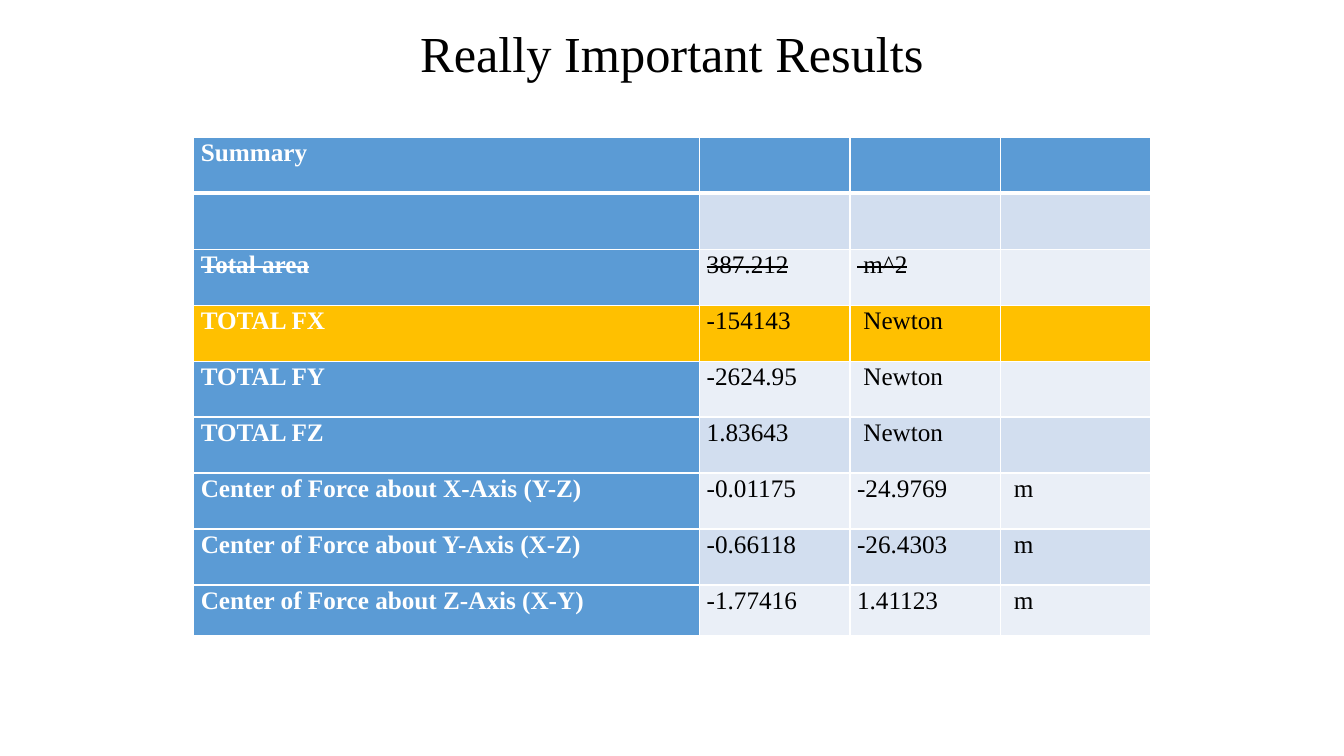
from lxml.etree import SubElement
from pptx import Presentation
from pptx.dml.color import RGBColor
from pptx.enum.text import MSO_ANCHOR, PP_ALIGN
from pptx.oxml.ns import qn
from pptx.util import Cm, Pt

BLACK = RGBColor(0x00, 0x00, 0x00)
WHITE = RGBColor(0xFF, 0xFF, 0xFF)
BLUE = RGBColor(0x5B, 0x9B, 0xD5)
BAND_DARK = RGBColor(0xD2, 0xDE, 0xEF)
BAND_LIGHT = RGBColor(0xEA, 0xEF, 0xF7)
GOLD = RGBColor(0xFF, 0xC0, 0x00)

RESULTS = [
    ("Summary", "", "", ""),
    ("", "", "", ""),
    ("Total area", "387.212", " m^2", ""),
    ("TOTAL FX", "-154143", " Newton", ""),
    ("TOTAL FY", "-2624.95", " Newton", ""),
    ("TOTAL FZ", "1.83643", " Newton", ""),
    ("Center of Force about X-Axis (Y-Z)", "-0.01175", "-24.9769", " m"),
    ("Center of Force about Y-Axis (X-Z)", "-0.66118", "-26.4303", " m"),
    ("Center of Force about Z-Axis (X-Y)", "-1.77416", "1.41123", " m"),
]
HEADER_ROW, STRUCK_ROW, GOLD_ROW = 0, 2, 3
COLUMN_WIDTHS = [12.75, 3.79, 3.79, 3.79]
ROW_HEIGHTS = [1.41] * 8 + [1.28]


class ResultsSlide:
    font = "Times New Roman"

    def __init__(self, prs):
        self.s = prs.slides.add_slide(prs.slide_layouts[6])

    def add_text(self, p, text, align, spacing, color, **style):
        p.alignment, p.line_spacing = align, spacing
        r = p.add_run()
        r.text = text
        r.font.color.rgb = color
        for name, value in {"name": self.font, **style}.items():
            setattr(r.font, name, value)
        return r

    def title(self, text, left, top, width, height):
        sp = self.s.shapes.add_textbox(Cm(left), Cm(top), Cm(width), Cm(height))
        tf = sp.text_frame
        tf.word_wrap = True
        tf.vertical_anchor = MSO_ANCHOR.MIDDLE
        self.add_text(tf.paragraphs[0], text, PP_ALIGN.CENTER, 0.9, BLACK,
                      size=Pt(36))

    def borders(self, cell, header):
        tcPr = cell._tc.get_or_add_tcPr()
        for side in "LRTB":
            width = Pt(3) if header and side == "B" else Pt(1)
            ln = SubElement(tcPr, qn(f"a:ln{side}"), w=str(width))
            fill = SubElement(ln, qn("a:solidFill"))
            SubElement(fill, qn("a:srgbClr"), val=str(WHITE))

    def cell_fill(self, row, col):
        if row == GOLD_ROW:
            return GOLD
        if row == HEADER_ROW or col == 0:
            return BLUE
        return BAND_DARK if row % 2 else BAND_LIGHT

    def cell(self, cell, text, row, col):
        self.borders(cell, row == HEADER_ROW)
        cell.fill.solid()
        cell.fill.fore_color.rgb = self.cell_fill(row, col)
        margins = {"margin_left": Cm(0.18), "margin_right": Cm(0.18),
                   "margin_top": 0, "margin_bottom": 0}
        for name, value in margins.items():
            setattr(cell, name, value)
        if text:
            label = col == 0
            r = self.add_text(cell.text_frame.paragraphs[0], text,
                              PP_ALIGN.JUSTIFY, 1.07,
                              WHITE if label else BLACK,
                              size=Pt(18), bold=label)
            if row == STRUCK_ROW:
                r._r.get_or_add_rPr().set("strike", "sngStrike")

    def table(self, rows, left, top, widths, heights):
        table = self.s.shapes.add_table(
            len(rows), len(widths), Cm(left), Cm(top),
            Cm(sum(widths)), Cm(sum(heights))).table
        table.first_row = table.horz_banding = False
        for column, width in zip(table.columns, widths):
            column.width = Cm(width)
        for row, height in zip(table.rows, heights):
            row.height = Cm(height)
        for i, values in enumerate(rows):
            for j, text in enumerate(values):
                self.cell(table.cell(i, j), text, i, j)


def main():
    prs = Presentation()
    prs.slide_width, prs.slide_height = Cm(33.87), Cm(19.05)
    slide = ResultsSlide(prs)
    # Title
    slide.title("Really Important Results", 3.53, 0.56, 26.82, 1.7)
    # Results table
    slide.table(RESULTS, 4.88, 3.46, COLUMN_WIDTHS, ROW_HEIGHTS)
    prs.save("out.pptx")


if __name__ == "__main__":
    main()
